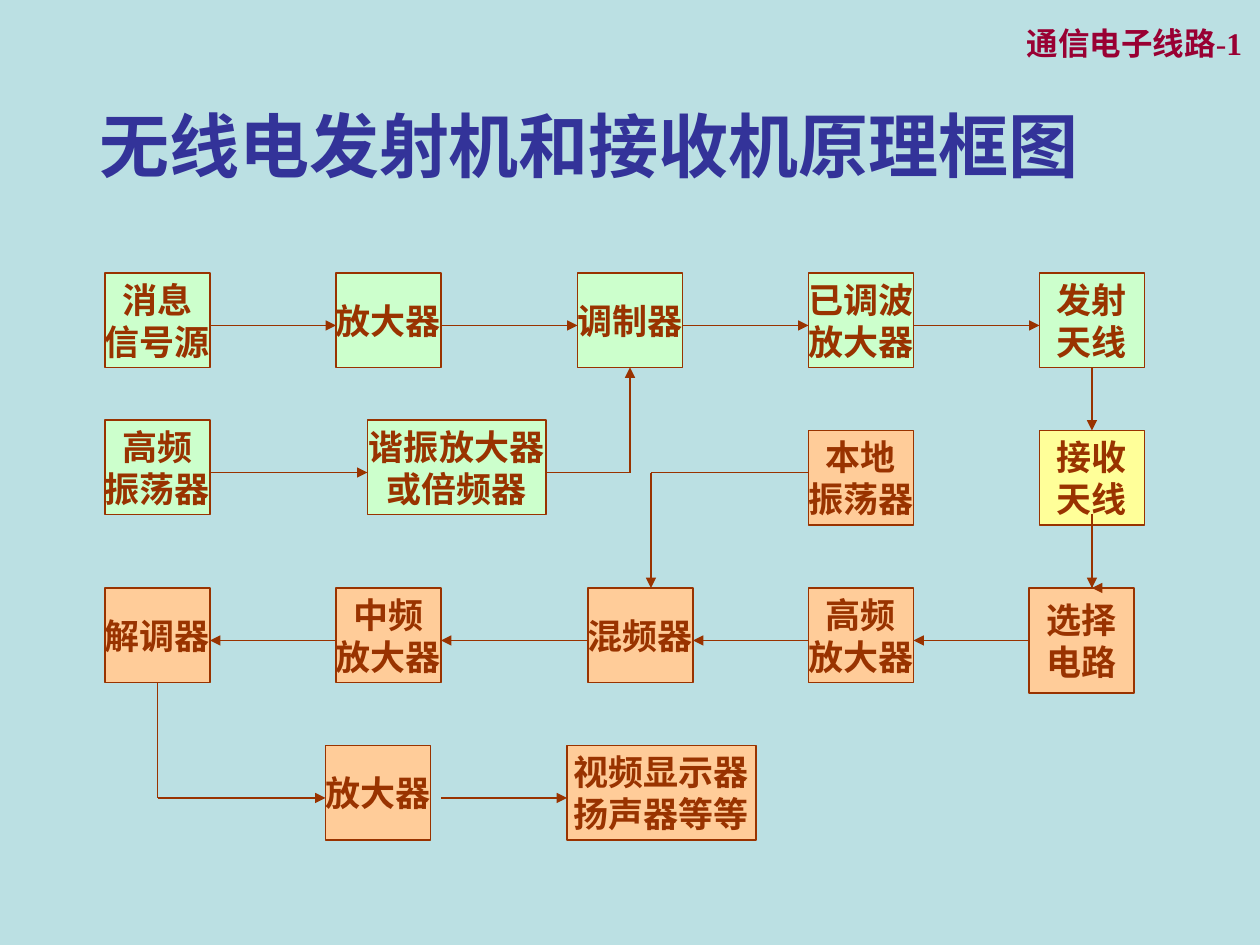
from lxml import etree
from pptx import Presentation
from pptx import util as u
from pptx.dml.color import RGBColor
from pptx.enum import shapes, text
from pptx.oxml.ns import qn

THEME = {
    "font": "Times New Roman",
    "bg": "BBE0E3", "header": "990033", "title": "333399", "ink": "993300",
    "send": "CCFFCC", "antenna": "FFFF99", "receive": "FFCC99",
    "header_pt": 18, "title_pt": 40, "box_pt": 20,
    "thin": 0.75, "thick": 1,
}

HEADER = [("通信电子线路", True), ("-", False), ("1", True)]
TITLE = [("无线电发射机和接收机原理框图", True)]

# The diagram sits on a grid of 1/12 inch; all its positions are grid steps.
GRID = 12
BOX_W, BOX_H = 10, 9
FLOW_DROP = 5  # from the top of a box to the line of its row

# name: (lines, left, top, fill, optional size)
BOXES = {
    "source": (["消息", "信号源"], 10, 26, "send"),
    "amplifier": (["放大器"], 32, 26, "send"),
    "modulator": (["调制器"], 55, 26, "send"),
    "oscillator": (["高频", "振荡器"], 10, 40, "send"),
    "multiplier": (["谐振放大器", "或倍频器"], 35, 40, "send", 17, BOX_H),
    "power amp": (["已调波", "放大器"], 77, 26, "send"),
    "send antenna": (["发射", "天线"], 99, 26, "send"),
    "receive antenna": (["接收", "天线"], 99, 41, "antenna"),
    "rf amp": (["高频", "放大器"], 77, 56, "receive"),
    "local oscillator": (["本地", "振荡器"], 77, 41, "receive"),
    "mixer": (["混频器"], 56, 56, "receive"),
    "if amp": (["中频", "放大器"], 32, 56, "receive"),
    "demodulator": (["解调器"], 10, 56, "receive"),
    "output amp": (["放大器"], 31, 71, "receive"),
    "output": (["视频显示器", "扬声器等等"], 54, 71, "receive", 18, BOX_H),
    "selector": (["选择", "电路"], 98, 56, "receive", 10, 10),
}

# Rows of boxes joined edge to edge by level arrows
CHAINS = [
    ["source", "amplifier", "modulator", "power amp", "send antenna"],
    ["oscillator", "multiplier"],
    ["selector", "rf amp", "mixer", "if amp", "demodulator"],
]

# Other lines: points, width, arrowhead at the last point
ROUTES = [
    ([(52, 45), (60, 45), (60, 35)], "thin", True),
    ([(104, 35), (104, 41)], "thin", True),
    ([(62, 45), (62, 56)], "thin", True),
    ([(77, 45), (62, 45)], "thick", False),
    ([(15, 65), (15, 76), (31, 76)], "thin", True),
    ([(42, 76), (54, 76)], "thin", True),
    ([(104, 50), (104, 56)], "thick", False),
    ([(106, 56), (104, 56)], "thick", True),
    ([(104, 49), (104, 56)], "thin", True),
]


def colour(name):
    return RGBColor.from_string(THEME[name])


def step(n):
    return u.Inches(n / GRID)


def style(p, kind, size):
    p.font.name = THEME["font"]
    p.font.size = u.Pt(THEME[size])
    p.font.color.rgb = colour(kind)


def add_heading(s, runs, kind, at, align, anchor):
    tf = s.shapes.add_textbox(*map(u.Inches, at)).text_frame
    tf.word_wrap = False
    tf.auto_size = text.MSO_AUTO_SIZE.SHAPE_TO_FIT_TEXT
    tf.vertical_anchor = anchor
    p = tf.paragraphs[0]
    p.alignment = align
    style(p, kind, kind + "_pt")
    for words, bold in runs:
        r = p.add_run()
        r.text = words
        r.font.bold = bold
        r.font.name = THEME["font"]
        r.font.size = u.Pt(THEME[kind + "_pt"])
        r.font.color.rgb = colour(kind)


def add_box(s, lines, left, top, fill, w=BOX_W, h=BOX_H):
    sp = s.shapes.add_shape(shapes.MSO_SHAPE.RECTANGLE,
                            *map(step, (left, top, w, h)))
    sp.shadow.inherit = False
    sp.fill.solid()
    sp.fill.fore_color.rgb = colour(fill)
    sp.line.color.rgb = colour("ink")
    sp.line.width = u.Pt(THEME["thin" if h == BOX_H else "thick"])
    tf = sp.text_frame
    tf.word_wrap = False
    tf.vertical_anchor = text.MSO_ANCHOR.MIDDLE
    tf.text = "\n".join(lines)
    for p in tf.paragraphs:
        p.alignment = text.PP_ALIGN.CENTER
        style(p, "ink", "box_pt")
        p.font.bold = True


def add_line(s, start, end, width, arrow):
    c = s.shapes.add_connector(shapes.MSO_CONNECTOR.STRAIGHT,
                               *map(step, start + end))
    c.line.color.rgb = colour("ink")
    c.line.width = u.Pt(THEME[width])
    if arrow:
        etree.SubElement(c.line._get_or_add_ln(), qn("a:tailEnd"),
                         type="triangle")
    etree.SubElement(c._element.spPr, qn("a:effectLst"))


def add_link(s, a, b):
    (_, ax, ay, _, *a_size), (_, bx, _, _, *b_size) = BOXES[a], BOXES[b]
    a_w, b_w = (a_size or [BOX_W])[0], (b_size or [BOX_W])[0]
    x1, x2 = (ax + a_w, bx) if ax < bx else (ax, bx + b_w)
    y = ay + FLOW_DROP
    add_line(s, (x1, y), (x2, y), "thin", True)


def main():
    prs = Presentation()
    prs.slide_width, prs.slide_height = u.Inches(10), u.Inches(7.5)
    s = prs.slides.add_slide(prs.slide_layouts[6])
    s.background.fill.solid()
    s.background.fill.fore_color.rgb = colour("bg")

    # Headings
    add_heading(s, HEADER, "header", (8.02, 0.14, 1.97, 0.4),
                text.PP_ALIGN.CENTER, text.MSO_ANCHOR.TOP)
    add_heading(s, TITLE, "title", (0.69, 0.76, 7.97, 0.77),
                text.PP_ALIGN.LEFT, text.MSO_ANCHOR.MIDDLE)

    # Block diagram
    for box in BOXES.values():
        add_box(s, *box)
    for chain in CHAINS:
        for a, b in zip(chain, chain[1:]):
            add_link(s, a, b)
    for points, width, arrow in ROUTES:
        last = len(points) - 2
        for i, (start, end) in enumerate(zip(points, points[1:])):
            add_line(s, start, end, width, arrow and i == last)

    prs.save("out.pptx")


if __name__ == "__main__":
    main()
